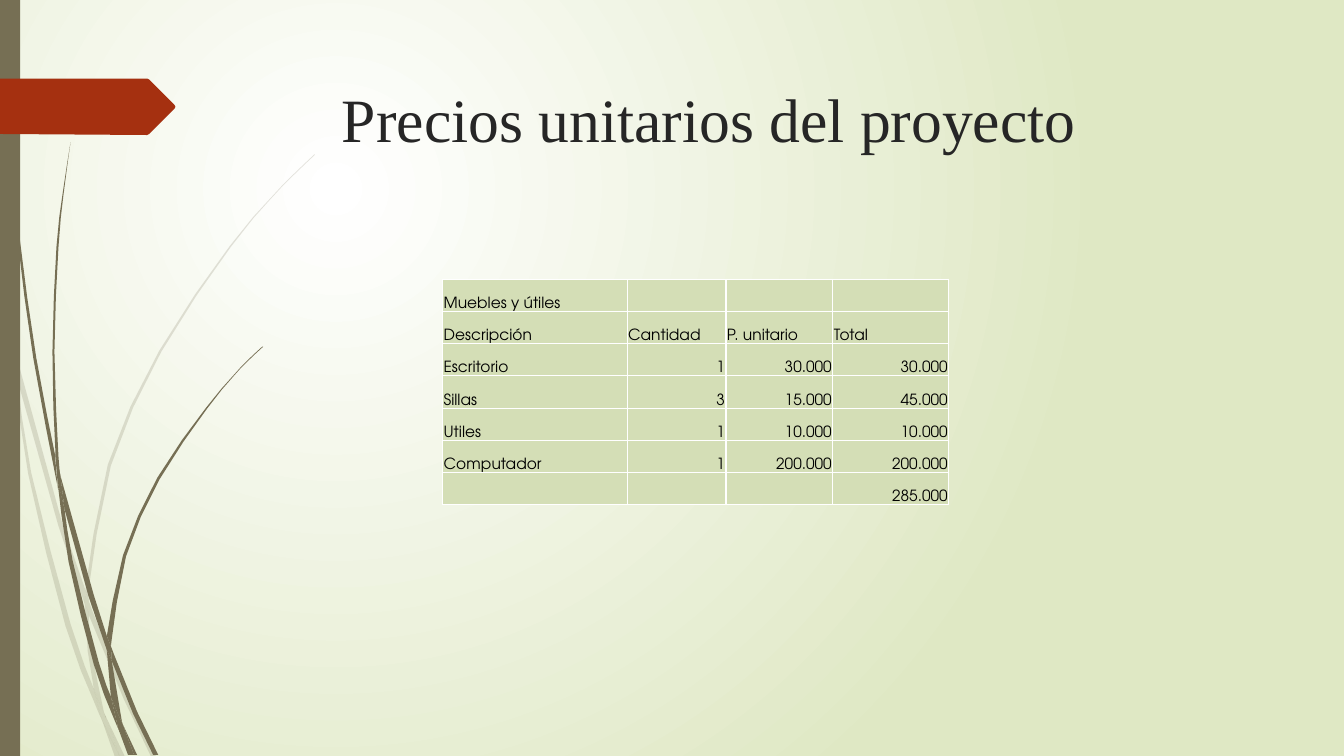
from lxml.etree import SubElement
from pptx import Presentation
from pptx.dml.color import RGBColor
from pptx.enum.shapes import MSO_SHAPE as Shape
from pptx.enum.text import MSO_ANCHOR as Anchor, PP_ALIGN as Align
from pptx.oxml.ns import qn
from pptx.util import Pt

PX = 9144
OLIVE, RED, INK, WHITE, SAGE = "766F54", "A53010", "262626", "FFFFFF", "D4DEB6"

PALE = [
    "11,350 9,322 0,282 | 0,299 10,344 11,350",
    "14,345 17,376 | 17,376 58,522 84,599 | 84,599 85,586 | 85,586 62,520 14,345",
    "92,607 88,596 | 88,596 88,610 | 88,610 123,694 150,751 | 155,751 127,692 92,607",
    "119,751 124,751 | 124,751 105,711 | 105,711 119,751",
    "93,683 70,619 31,469 17,376 11,350 | 11,350 28,470 65,621 92,693 101,714 | 101,714 99,707 93,683",
    "84,599 87,646 93,683 | 96,692 105,711 | 105,711 103,706 91,646 88,610 | 88,608 84,599",
    "88,584 110,462 160,349 229,245 268,198 290,175 312,154 | "
    "312,153 289,175 268,197 228,244 158,348 107,461 85,584 | 85,586 88,596 88,584",
    "101,714 114,751 | 119,751 101,714",
    "88,608 88,610 88,596 | 85,586 84,599 88,608",
    "96,692 93,683 | 93,683 99,707 101,714 | 119,751 105,711 96,692",
]
DARK = [
    "7,110 17,233 33,355 56,477 57,481 | 57,481 55,457 55,453 | "
    "55,453 36,355 19,232 8,109 5,48 4,0 | 3,0 4,48 7,110",
    "60,472 64,505 | 64,505 88,592 106,645 | 106,645 106,631 | 106,631 93,590 60,472",
    "113,649 110,641 | 110,641 111,656 | 111,656 132,708 152,749 | 157,749 136,706 113,649",
    "110,691 98,657 72,556 64,505 57,477 | 57,477 68,557 93,659 111,708 117,722 | 117,722 116,717 110,691",
    "60,472 58,453 54,349 58,245 63,193 70,141 | 70,141 62,193 56,245 52,349 55,449 60,472",
    "133,749 136,749 | 136,749 122,719 | 122,719 133,749",
    "57,477 64,505 | 64,505 60,472 | 60,472 55,449 | 55,453 57,477",
    "111,633 125,552 158,476 205,406 231,374 245,359 261,344 | "
    "260,344 245,358 231,373 204,405 156,474 122,551 106,631 | 106,631 110,641 111,633",
    "117,722 127,749 | 131,749 117,722",
    "106,645 110,691 116,706 | 122,719 121,716 111,656 | 109,651 106,645",
    "106,645 109,651 111,656 | 111,656 110,641 106,631",
    "116,706 110,691 | 110,691 116,717 117,722 | 130,749 133,749 | 122,719 116,706",
]
ARROW = "0,78 146,78 | 148,79 173,104 | 174,106 173,108 | 148,133 146,134 | 0,133"

COLS = [183, 98, 106, 115]
ROWS = [
    ["Muebles y útiles", "", "", ""],
    ["Descripción", "Cantidad", "P. unitario", "Total"],
    ["Escritorio", "1", "30.000", "30.000"],
    ["Sillas", "3", "15.000", "45.000"],
    ["Utiles", "1", "10.000", "10.000"],
    ["Computador", "1", "200.000", "200.000"],
    ["", "", "", "285.000"],
]


def hue(code):
    return RGBColor.from_string(code)


def paint(shape, code, alpha=100):
    shape.shadow.inherit = False
    shape.fill.solid()
    shape.fill.fore_color.rgb = hue(code)
    shape.line.fill.background()
    if alpha < 100:
        tint = shape._element.spPr.find(".//" + qn("a:srgbClr"))
        SubElement(tint, qn("a:alpha"), val=str(alpha * 1000))


def curve(text):
    dots = [tuple(int(n) for n in dot.split(",")) for dot in text.split()]
    if len(dots) < 4:
        return dots
    ends = [dots[0]] + dots + [dots[-1]]
    line = [dots[0]]
    for a, b, c, d in zip(ends, ends[1:], ends[2:], ends[3:]):
        line.append(tuple((9 * (q + r) - p - s) / 16 for p, q, r, s in zip(a, b, c, d)))
        line.append(c)
    return line


def outline(shapes, text, code, alpha=100):
    dots = [(x * PX, y * PX) for edge in text.split("|") for x, y in curve(edge)]
    dots = list(dict.fromkeys(dots))
    pen = shapes.build_freeform(*dots[0])
    pen.add_line_segments(dots[1:], close=True)
    paint(pen.convert_to_shape(), code, alpha)


def grass(slide, blades, alpha):
    group = slide.shapes.add_group_shape()
    for blade in blades:
        outline(group.shapes, blade, OLIVE, alpha)


def backdrop(slide):
    fill = slide.background.fill
    fill.gradient()
    for stop, code in zip(fill.gradient_stops, [WHITE, "DFE8C4"]):
        stop.color.rgb = hue(code)
    grad = slide._element.find(".//" + qn("a:gradFill"))
    grad.remove(grad.find(qn("a:lin")))
    ring = SubElement(grad, qn("a:path"), path="circle")
    SubElement(ring, qn("a:fillToRect"), l="50000", t="50000", r="100000", b="100000")


def style(para, face, size, code):
    for run in para.runs:
        run.font.name = face
        run.font.size = Pt(size)
        run.font.color.rgb = hue(code)


def title(slide, text):
    box = slide.shapes.add_textbox(149 * PX, 68 * PX, 1109 * PX, 140 * PX)
    frame = box.text_frame
    frame.word_wrap = True
    frame.margin_top = 12 * PX
    frame.text = text
    para = frame.paragraphs[0]
    para.alignment = Align.CENTER
    style(para, "Times New Roman", 44, INK)


def border(cell):
    props = cell._tc.get_or_add_tcPr()
    for spot, side in enumerate(["lnL", "lnR", "lnT", "lnB"]):
        line = props.makeelement(qn("a:" + side), {"w": str(Pt(1))})
        props.insert(spot, line)
        SubElement(SubElement(line, qn("a:solidFill")), qn("a:srgbClr"), val=WHITE)


def fill_cell(cell, text):
    cell.fill.solid()
    cell.fill.fore_color.rgb = hue(SAGE)
    cell.vertical_anchor = Anchor.BOTTOM
    cell.margin_left = cell.margin_right = cell.margin_top = PX
    cell.margin_bottom = 0
    cell.text = text
    para = cell.text_frame.paragraphs[0]
    if text[:1].isdigit():
        para.alignment = Align.RIGHT
    style(para, "TeX Gyre Adventor", 11, "000000")
    if not text:
        SubElement(para._p, qn("a:endParaRPr"), sz="1100")
    border(cell)


def prices(slide):
    high = 32 * PX
    frame = slide.shapes.add_table(len(ROWS), len(COLS), 439 * PX, 277 * PX,
                                   sum(COLS) * PX, high * len(ROWS))
    table = frame.table
    table.first_row = table.horz_banding = False
    for col, wide in zip(table.columns, COLS):
        col.width = wide * PX
    for row, texts in zip(table.rows, ROWS):
        row.height = high
        for cell, text in zip(row.cells, texts):
            fill_cell(cell, text)


def main():
    deck = Presentation()
    deck.slide_width, deck.slide_height = 1333 * PX, 750 * PX
    slide = deck.slides.add_slide(deck.slide_layouts[6])
    backdrop(slide)
    grass(slide, PALE, 20)
    grass(slide, DARK, 100)
    paint(slide.shapes.add_shape(Shape.RECTANGLE, 0, 0, 20 * PX, 750 * PX), OLIVE)
    outline(slide.shapes, ARROW, RED)
    title(slide, "Precios unitarios del proyecto")
    prices(slide)
    deck.save("out.pptx")


if __name__ == "__main__":
    main()
